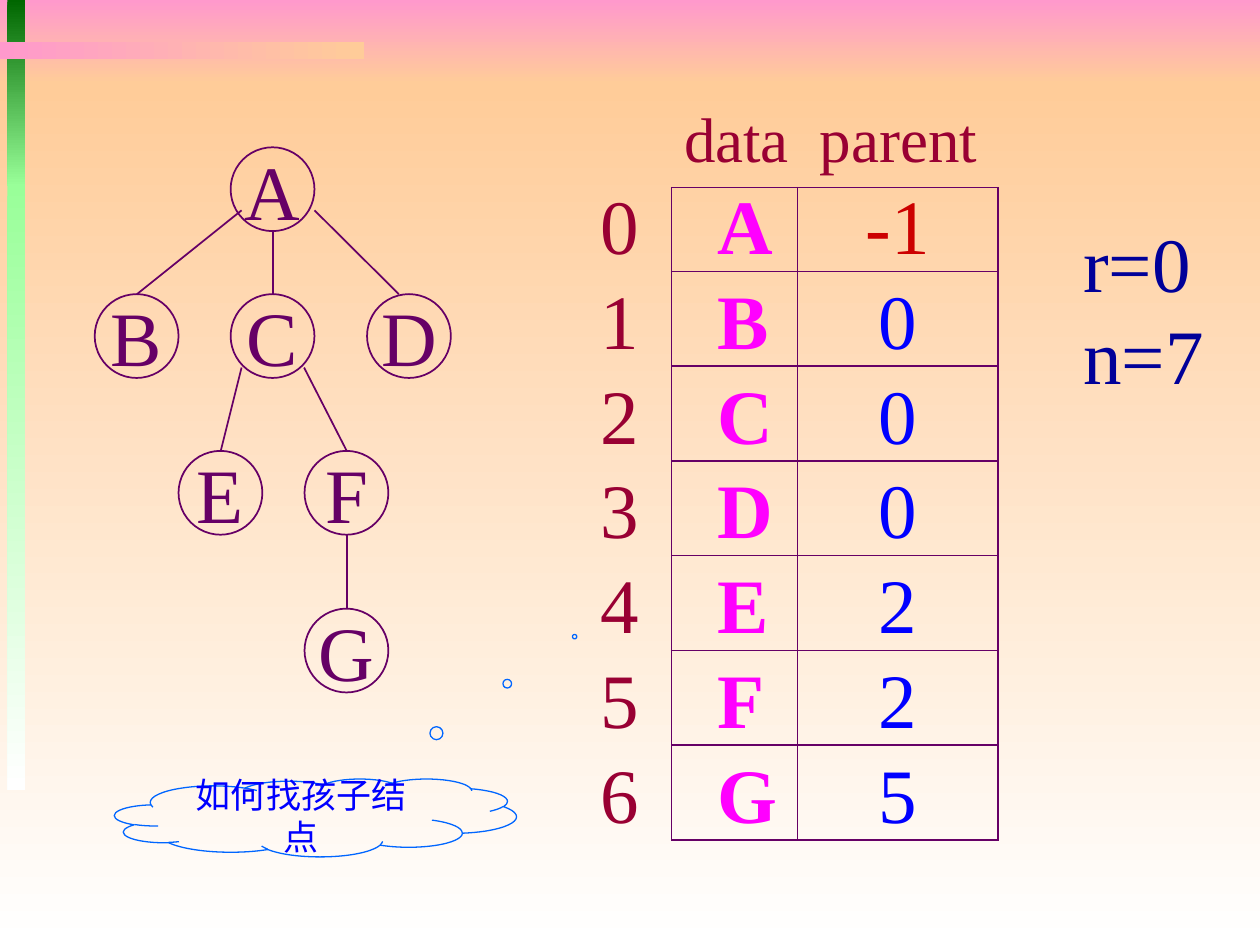
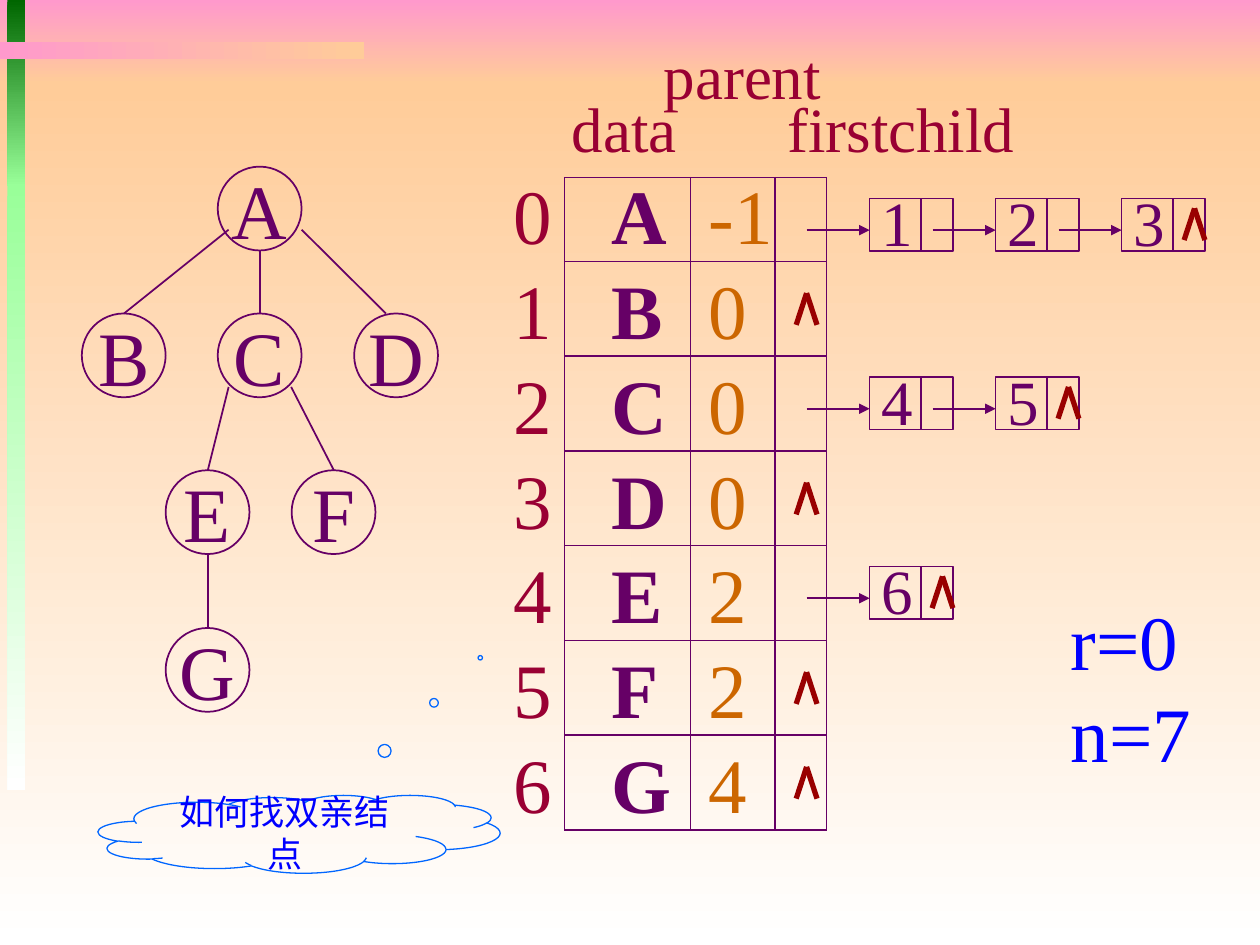
from lxml import etree
from pptx import Presentation
from pptx.dml.color import RGBColor
from pptx.enum.shapes import MSO_CONNECTOR, MSO_SHAPE
from pptx.enum.text import MSO_ANCHOR, PP_ALIGN
from pptx.oxml.ns import qn
from pptx.util import Cm, Pt

RECT = MSO_SHAPE.RECTANGLE
OVAL = MSO_SHAPE.OVAL
CLOUD = MSO_SHAPE.CLOUD_CALLOUT
STRAIGHT = MSO_CONNECTOR.STRAIGHT
MIDDLE = MSO_ANCHOR.MIDDLE
BOTTOM = MSO_ANCHOR.BOTTOM
LEFT = PP_ALIGN.LEFT
CENTER = PP_ALIGN.CENTER

PURPLE = RGBColor(0x66, 0x00, 0x66)
CRIMSON = RGBColor(0x99, 0x00, 0x33)
MAGENTA = RGBColor(0xFF, 0x00, 0xFF)
RED = RGBColor(0xCC, 0x00, 0x00)
DARK_RED = RGBColor(0x99, 0x00, 0x00)
ORANGE = RGBColor(0xCC, 0x66, 0x00)
BLUE = RGBColor(0x00, 0x00, 0xFF)
NAVY = RGBColor(0x00, 0x00, 0x99)
SKY = RGBColor(0x00, 0x66, 0xFF)
PINK = RGBColor(0xFF, 0x99, 0xCC)
PEACH = RGBColor(0xFF, 0xCC, 0x99)
WHITE = RGBColor(0xFF, 0xFF, 0xFF)
DARK_GREEN = RGBColor(0x00, 0x66, 0x00)
LIGHT_GREEN = RGBColor(0x99, 0xFF, 0x99)

FONT = "Times New Roman"
BIG, HEAD, NOTE = 44, 36, 20

BANDS = [
    (0, 0, 25.4, 1.69, PINK, PEACH, 270),
    (0, 1.69, 25.4, 17.36, PEACH, WHITE, 270),
    (0.15, 0, 0.36, 3.76, DARK_GREEN, LIGHT_GREEN, 270),
    (0.15, 3.71, 0.36, 12.22, LIGHT_GREEN, WHITE, 270),
    (0, 0.84, 7.34, 0.36, PINK, PEACH, 0),
]

NODE = 1.69
NODE_OFFSETS = {
    "A": (0, 0),
    "B": (-2.74, 2.96), "C": (0, 2.96), "D": (2.75, 2.96),
    "E": (-1.05, 6.12), "F": (1.49, 6.12),
}
G_DROP = 9.3
EDGES = [
    ("A", "B", 0.22, 1.27, 0.85),
    ("A", "C", 0.85, 1.69, 0.85),
    ("A", "D", 1.69, 1.27, 0.64),
    ("C", "E", 0.22, 1.48, 0.85),
    ("C", "F", 1.48, 1.48, 0.85),
]

FIRST_ROW, ROW = 1.69, 1.91
LINK_W, LINK_H, LINK_STEP = 1.69, 1.06, 2.54


def write(tf, lines, size, color, align=LEFT, bold=False, spacing=1.2):
    font = {"name": FONT, "size": Pt(size), "bold": bold}
    for i, line in enumerate(lines):
        p = tf.paragraphs[0] if i == 0 else tf.add_paragraph()
        p.alignment = align
        p.line_spacing = Pt(size * spacing)
        r = p.add_run()
        r.text = line
        for name, value in font.items():
            setattr(r.font, name, value)
        r.font.color.rgb = color


def set_margins(obj, left=0.0):
    margins = {"margin_left": left, "margin_right": 0, "margin_top": 0, "margin_bottom": 0}
    for name, value in margins.items():
        setattr(obj, name, Cm(value))


def add_label(s, x, y, w, h, lines, size, color):
    tf = s.shapes.add_textbox(Cm(x), Cm(y), Cm(w), Cm(h)).text_frame
    tf.word_wrap = False
    write(tf, lines, size, color)


def add_outline(s, kind, x, y, w, h, color=PURPLE, width=1):
    sp = s.shapes.add_shape(kind, Cm(x), Cm(y), Cm(w), Cm(h))
    sp.shadow.inherit = False
    sp.fill.background()
    sp.line.color.rgb = color
    sp.line.width = Pt(width)
    sp.text_frame.vertical_anchor = MIDDLE
    return sp


def add_line(s, x1, y1, x2, y2, color=PURPLE, width=1, arrow=False):
    cn = s.shapes.add_connector(STRAIGHT, Cm(x1), Cm(y1), Cm(x2), Cm(y2))
    cn.line.color.rgb = color
    cn.line.width = Pt(width)
    if arrow:
        ln = cn.element.spPr.find(qn("a:ln"))
        etree.SubElement(ln, qn("a:tailEnd"), type="triangle")
    etree.SubElement(cn.element.spPr, qn("a:effectLst"))


def add_bands(s, master):
    for i, (x, y, w, h, start, end, angle) in enumerate(BANDS):
        sp = s.shapes.add_shape(RECT, Cm(x), Cm(y), Cm(w), Cm(h))
        sp.shadow.inherit = False
        sp.line.fill.background()
        sp.fill.gradient()
        sp.fill.gradient_angle = angle
        for stop, color in zip(sp.fill.gradient_stops, (start, end)):
            stop.color.rgb = color
        master.shapes.element.insert(2 + i, sp.element)


def add_tree(s, left, top, g_parent):
    offsets = {**NODE_OFFSETS, "G": (NODE_OFFSETS[g_parent][0], G_DROP)}
    nodes = {name: (left + dx, top + dy) for name, (dx, dy) in offsets.items()}
    for name, (x, y) in nodes.items():
        tf = add_outline(s, OVAL, x, y, NODE, NODE).text_frame
        set_margins(tf)
        tf.word_wrap = False
        write(tf, [name], BIG, PURPLE, CENTER)
    for parent, child, out_x, out_y, in_x in EDGES + [(g_parent, "G", 0.85, 1.69, 0.85)]:
        (px, py), (cx, cy) = nodes[parent], nodes[child]
        add_line(s, px + out_x, py + out_y, cx + in_x, cy)


def set_borders(cell, sides):
    tcPr = cell._tc.get_or_add_tcPr()
    for i, side in enumerate("LRTB"):
        ln = etree.Element(qn(f"a:ln{side}"), w=str(Pt(1)))
        if side in sides:
            fill = etree.SubElement(ln, qn("a:solidFill"))
            etree.SubElement(fill, qn("a:srgbClr"), val=str(PURPLE))
        else:
            etree.SubElement(ln, qn("a:noFill"))
        tcPr.insert(i, ln)


def row_top(top, i):
    return top if i == 0 else top + FIRST_ROW + ROW * (i - 1)


def add_node_table(s, left, top, widths, columns):
    count = len(columns[0]["values"])
    frame = s.shapes.add_table(count, len(widths), Cm(left), Cm(top),
                               Cm(sum(widths)), Cm(row_top(0, count)))
    table = frame.table
    table.first_row = table.horz_banding = False
    for col, width in zip(table.columns, widths):
        col.width = Cm(width)
    for i, row in enumerate(table.rows):
        row.height = Cm(ROW if i else FIRST_ROW)
        for j, cell in enumerate(row.cells):
            cell.fill.background()
            set_borders(cell, "LRTB" if j else "R")
            cell.vertical_anchor = BOTTOM
            if j >= len(columns):
                continue
            column = columns[j]
            set_margins(cell, column["margin"])
            color = column["colors"][min(i, len(column["colors"]) - 1)]
            write(cell.text_frame, [column["values"][i]], BIG, color,
                  column.get("align", LEFT), column.get("bold", False), 1.0)


def add_null(s, x, y):
    for dx in (-0.21, 0.21):
        add_line(s, x, y, x + dx, y + 0.64, DARK_RED, 3)


def add_child_chain(s, left, y, children):
    for k, child in enumerate(children):
        x = left + LINK_STEP * k
        tf = add_outline(s, RECT, x, y, LINK_W, LINK_H).text_frame
        set_margins(tf, 0.25)
        tf.word_wrap = False
        write(tf, [child], HEAD, PURPLE, spacing=1.1)
        add_line(s, x + 1.04, y, x + 1.04, y + LINK_H)
        add_line(s, x - 1.27, y + 0.64, x, y + 0.64, arrow=True)
    add_null(s, x + 1.47, y + 0.2)


def add_question(s, x, y, question, tail):
    sp = add_outline(s, CLOUD, x, y, 8.1, 1.57, SKY, 0.75)
    for i, value in enumerate(tail):
        sp.adjustments[i] = value
    sp.text_frame.word_wrap = True
    write(sp.text_frame, [question], NOTE, BLUE, CENTER)


def add_headers(s, headers):
    for text, x, y, w in headers:
        add_label(s, x, y, w, 1.78, [text], HEAD, CRIMSON)


def add_root_info(s, x, y, color):
    add_label(s, x, y, 2.95, 3.99, ["r=0", "n=7"], BIG, color)


def build_parent_slide(s):
    add_tree(s, 4.65, 2.97, "F")
    add_headers(s, [("data", 13.54, 1.88, 2.7), ("parent", 16.28, 1.88, 4)])
    add_node_table(s, 11.86, 3.78, (1.68, 2.54, 4.04), [
        {"values": "0123456", "colors": [CRIMSON], "margin": 0.25},
        {"values": "ABCDEFG", "colors": [MAGENTA], "margin": 0.92, "bold": True},
        {"values": ["-1", *"000225"], "colors": [RED, BLUE], "margin": 0, "align": CENTER},
    ])
    add_root_info(s, 21.59, 4.22, NAVY)
    add_question(s, 2.31, 15.7, "如何找孩子结点", (0.645, -2.325))


def build_child_slide(s):
    top = 3.58
    add_tree(s, 4.39, 3.36, "E")
    add_headers(s, [("data", 11.28, 1.68, 2.7), ("firstchild", 15.62, 1.68, 6),
                    ("parent", 13.13, 0.61, 4)])
    add_node_table(s, 10.11, top, (1.27, 2.54, 1.7, 1.04), [
        {"values": "0123456", "colors": [CRIMSON], "margin": 0.25},
        {"values": "ABCDEFG", "colors": [PURPLE], "margin": 0.94, "bold": True},
        {"values": ["-1", *"000224"], "colors": [ORANGE], "margin": 0.36},
    ])
    for i, children in enumerate(["123", "", "45", "", "6", "", ""]):
        y = row_top(top, i)
        if children:
            add_child_chain(s, 17.53, y + 0.42, children)
        else:
            add_null(s, 16.26, y + 0.64)
    add_root_info(s, 21.34, 11.84, BLUE)
    add_question(s, 1.98, 16.03, "如何找双亲结点", (0.451, -2.264))


def main():
    prs = Presentation()
    prs.slide_width, prs.slide_height = Cm(25.4), Cm(19.05)
    blank = prs.slide_layouts[6]
    parent_slide, child_slide = (prs.slides.add_slide(blank) for _ in range(2))
    add_bands(parent_slide, prs.slide_master)
    build_parent_slide(parent_slide)
    build_child_slide(child_slide)
    prs.save("out.pptx")


if __name__ == "__main__":
    main()
